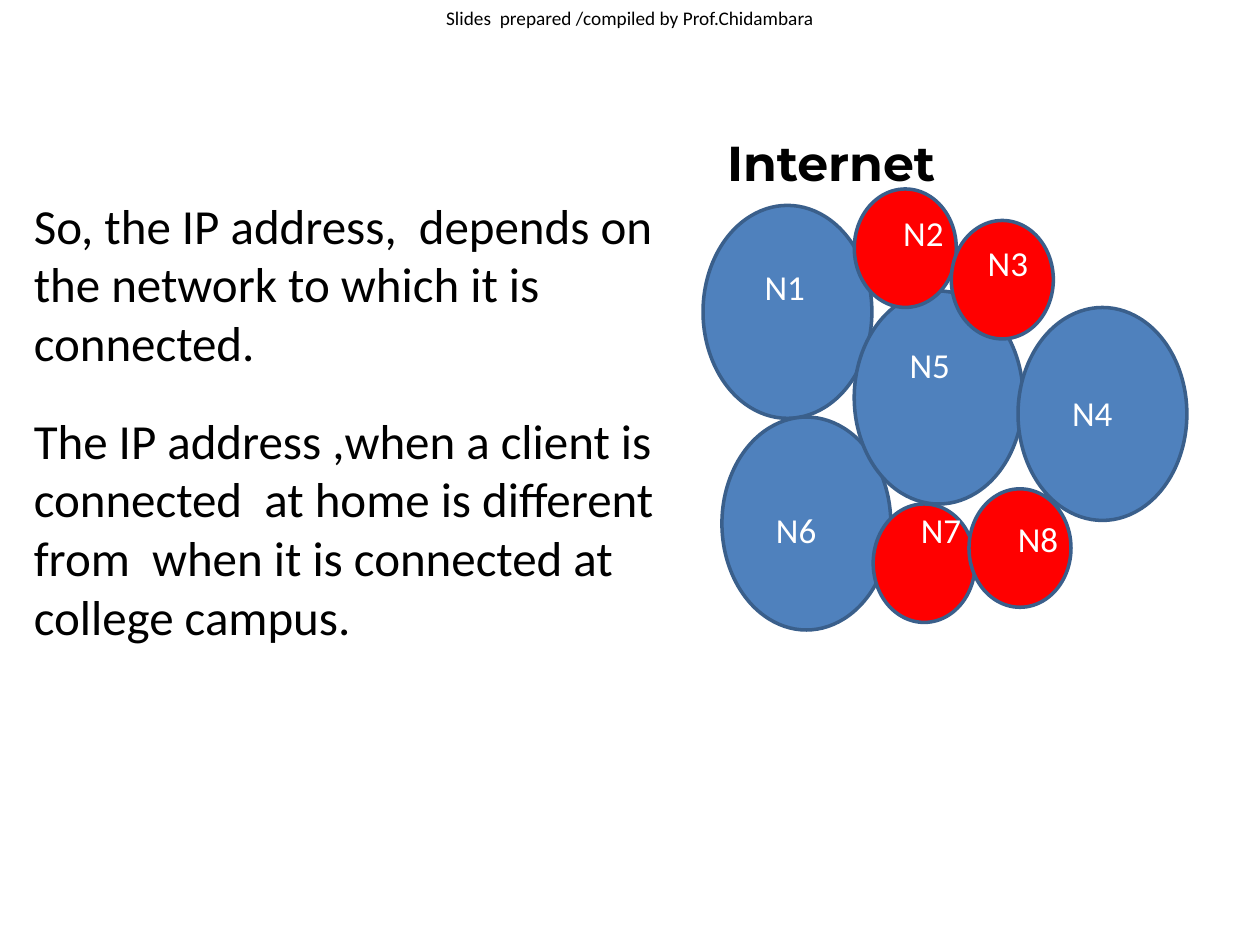
"""Build a slide showing the Internet as a cluster of connected networks."""
import pptx
import pptx.dml.color
import pptx.enum.shapes
import pptx.enum.text
import pptx.util

Inches = pptx.util.Inches
Pt = pptx.util.Pt
ALIGN = pptx.enum.text.PP_ALIGN

COLORS = {"text": "000000", "label": "FFFFFF", "large": "4F81BD",
          "small": "FF0000", "outline": "3A5F8B"}
SIZES = {"large": (1.34, 1.69), "small": (0.81, 0.94)}

NETWORKS = [
    ("large", 5.58, 1.63),
    ("large", 5.73, 3.31),
    ("large", 6.78, 2.31),
    ("small", 6.78, 1.5),
    ("small", 6.93, 4),
    ("large", 8.08, 2.44),
    ("small", 7.55, 1.75),
    ("small", 7.69, 3.88),
]
LABELS = [
    ("N1", 5.97, 2.06),
    ("N5", 7.12, 2.68),
    ("N4", 8.41, 3.06),
    ("N6", 6.06, 3.99),
    ("N2", 7.07, 1.63),
    ("N3", 7.74, 1.87),
    ("N7", 7.21, 3.99),
    ("N8", 7.98, 4.06),
]
BODY = [
    "So, the IP address,  depends on the network to which it is connected.",
    "The IP address ,when a client is connected  at home is different from  "
    "when it is connected at college campus.",
]


class SlideBuilder:
    """Holds the style and the current slide."""

    def __init__(self, prs):
        self.slide = prs.slides.add_slide(prs.slide_layouts[5])

    def color(self, name):
        return pptx.dml.color.RGBColor.from_string(COLORS[name])

    def set_text(self, sp, lines, size, color="text", font="Calibri",
                 bold=False, align=ALIGN.LEFT, gap=0):
        tf = sp.text_frame
        tf.word_wrap = True
        tf.auto_size = pptx.enum.text.MSO_AUTO_SIZE.NONE
        tf.vertical_anchor = pptx.enum.text.MSO_ANCHOR.TOP
        tf.text = "\n".join(lines)
        for i, p in enumerate(tf.paragraphs):
            p.alignment = align
            p.space_before = Pt(gap if i else 0)
            p.font.size = Pt(size)
            p.font.name = font
            p.font.bold = bold
            p.font.color.rgb = self.color(color)

    def title(self, text, left, top, width, height):
        sp = self.slide.shapes.title
        sp.left, sp.top = Inches(left), Inches(top)
        sp.width, sp.height = Inches(width), Inches(height)
        self.set_text(sp, [text], 28, font="Montserrat", bold=True)

    def text(self, lines, left, top, width, height, size, **style):
        sp = self.slide.shapes.add_textbox(
            Inches(left), Inches(top), Inches(width), Inches(height))
        self.set_text(sp, lines, size, **style)

    def network(self, kind, left, top):
        width, height = SIZES[kind]
        sp = self.slide.shapes.add_shape(
            pptx.enum.shapes.MSO_SHAPE.OVAL,
            Inches(left), Inches(top), Inches(width), Inches(height))
        sp.shadow.inherit = False
        sp.fill.solid()
        sp.fill.fore_color.rgb = self.color(kind)
        sp.line.color.rgb = self.color("outline")
        sp.line.width = Pt(2)


def main():
    prs = pptx.Presentation()
    prs.slide_width, prs.slide_height = Inches(10), Inches(7.5)
    s = SlideBuilder(prs)
    s.text(["Slides  prepared /compiled by Prof.Chidambara"],
           0, 0, 10, 0.28, 11, align=ALIGN.CENTER)
    for kind, left, top in NETWORKS:
        s.network(kind, left, top)
    for name, left, top in LABELS:
        s.text([name], left, top, 1.01, 0.43, 20, color="label")
    s.title("Internet", 5.67, 1, 3, 0.57)
    s.text(BODY, 0.17, 1.5, 5.5, 4.3, 28, gap=22)
    prs.save("out.pptx")


if __name__ == "__main__":
    main()
